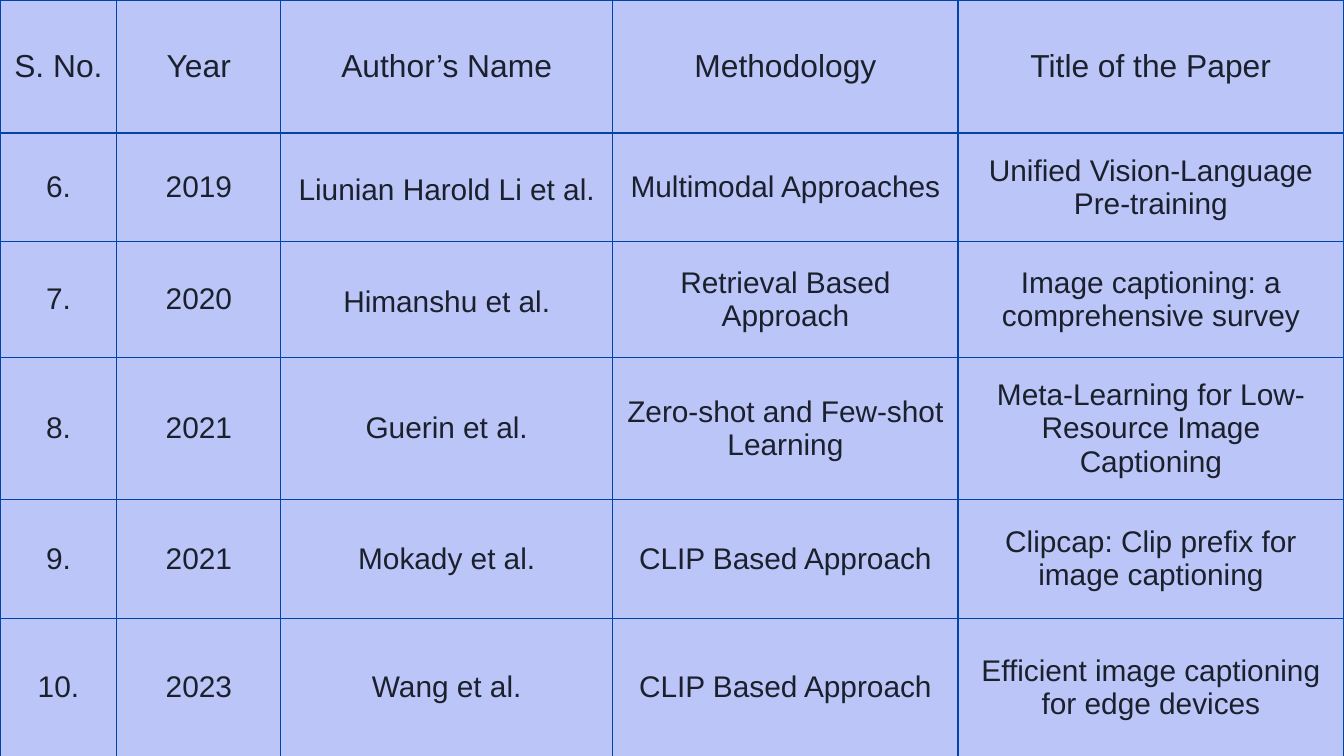
"""Build a slide with a table of image captioning papers."""
from lxml.etree import SubElement as Sub
from pptx import Presentation
from pptx.dml.color import RGBColor
from pptx.enum.text import MSO_ANCHOR as Anchor, PP_ALIGN as Align
from pptx.oxml.ns import qn
from pptx.util import Inches, Pt

INK = RGBColor(0x1B, 0x21, 0x2C)
FILL = RGBColor(0xBB, 0xC5, 0xF8)
LINE = RGBColor(0x00, 0x43, 0xA9)

ROWS = [
    ("S. No.", "Year", "Author’s Name", "Methodology", "Title of the Paper"),
    ("6.", "2019", "Liunian Harold Li et al.", "Multimodal Approaches",
     "Unified Vision-Language Pre-training"),
    ("7.", "2020", "Himanshu et al.", "Retrieval Based Approach",
     "Image captioning: a comprehensive survey"),
    ("8.", "2021", "Guerin et al.", "Zero-shot and Few-shot Learning",
     "Meta-Learning for Low-Resource Image Captioning"),
    ("9.", "2021", "Mokady et al.", "CLIP Based Approach",
     "Clipcap: Clip prefix for image captioning"),
    ("10.", "2023", "Wang et al.", "CLIP Based Approach",
     "Efficient image captioning for edge devices"),
]
WIDTHS = [0.87, 1.22, 2.47, 2.57, 2.87]
HEIGHTS = [0.99, 0.81, 0.86, 1.06, 0.88, 1.03]
LOOSE = [(1, 2), (2, 2)]


def add_edges(cell):
    props = cell._tc.get_or_add_tcPr()
    for side in ("lnL", "lnR", "lnT", "lnB"):
        edge = Sub(props, qn(f"a:{side}"), w=str(Pt(0.75)))
        paint = Sub(edge, qn("a:solidFill"))
        Sub(paint, qn("a:srgbClr"), val=str(LINE))


prs = Presentation()
wide = Inches(10)
high = wide * 9 // 16
prs.slide_width, prs.slide_height = wide, high
slide = prs.slides.add_slide(prs.slide_layouts[6])
back = slide.background.fill
back.solid()
back.fore_color.rgb = INK

table = slide.shapes.add_table(
    len(ROWS), len(WIDTHS), 0, 0, wide, high).table
for col, width in zip(table.columns, WIDTHS):
    col.width = Inches(width)
for row, height in zip(table.rows, HEIGHTS):
    row.height = Inches(height)

for r, words in enumerate(ROWS):
    for c, text in enumerate(words):
        cell = table.cell(r, c)
        add_edges(cell)
        cell.fill.solid()
        cell.fill.fore_color.rgb = FILL
        cell.vertical_anchor = Anchor.MIDDLE
        cell.margin_left = cell.margin_right = Inches(0.1)
        cell.margin_top = cell.margin_bottom = Inches(0.1)
        para = cell.text_frame.paragraphs[0]
        para.text = text
        para.alignment = Align.CENTER
        if (r, c) in LOOSE:
            para.line_spacing = 1.15
        font = para.runs[0].font
        font.name = "Arial"
        font.size = Pt(17 if r == 0 else 16)
        font.bold = False
        font.color.rgb = INK

prs.save("out.pptx")
